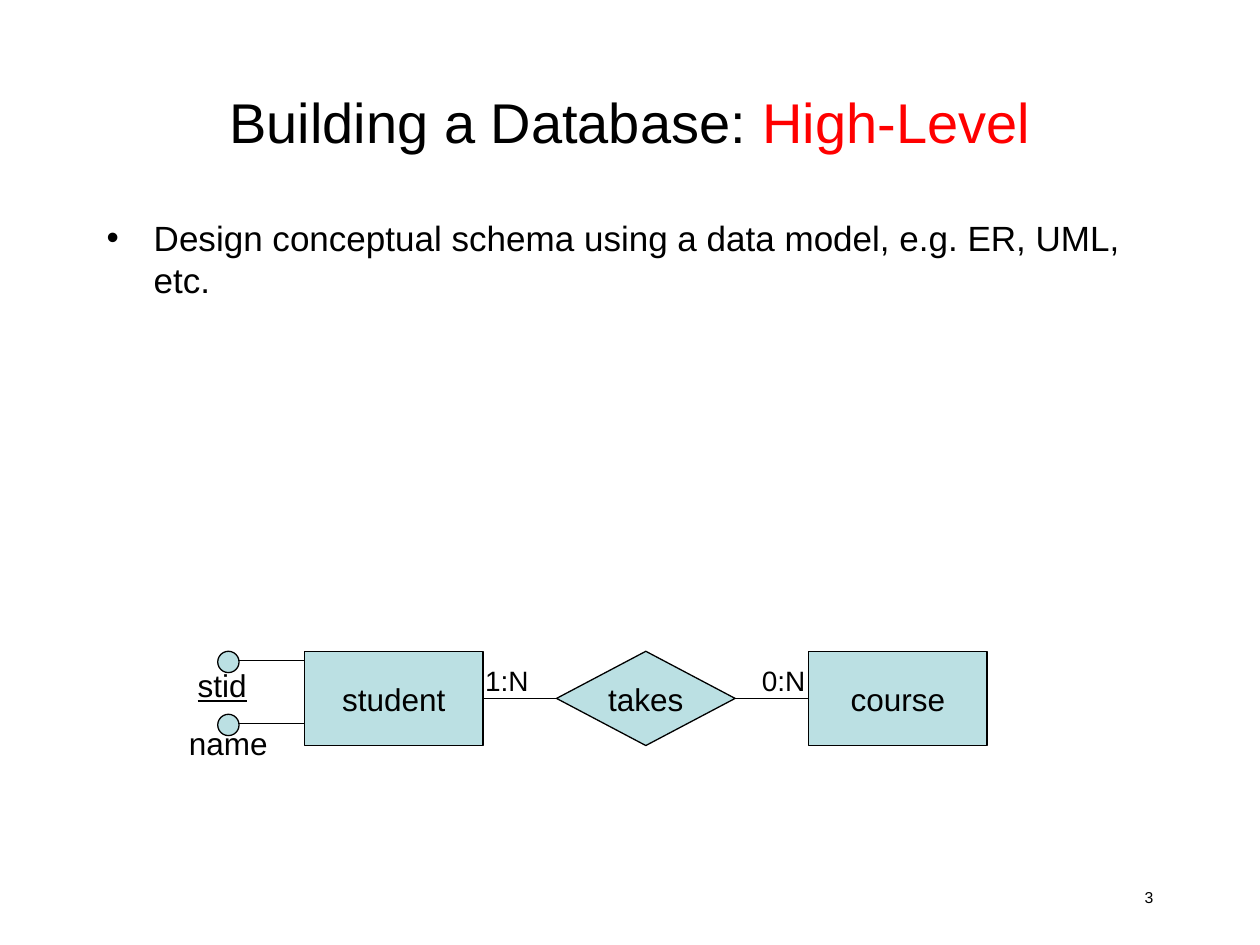
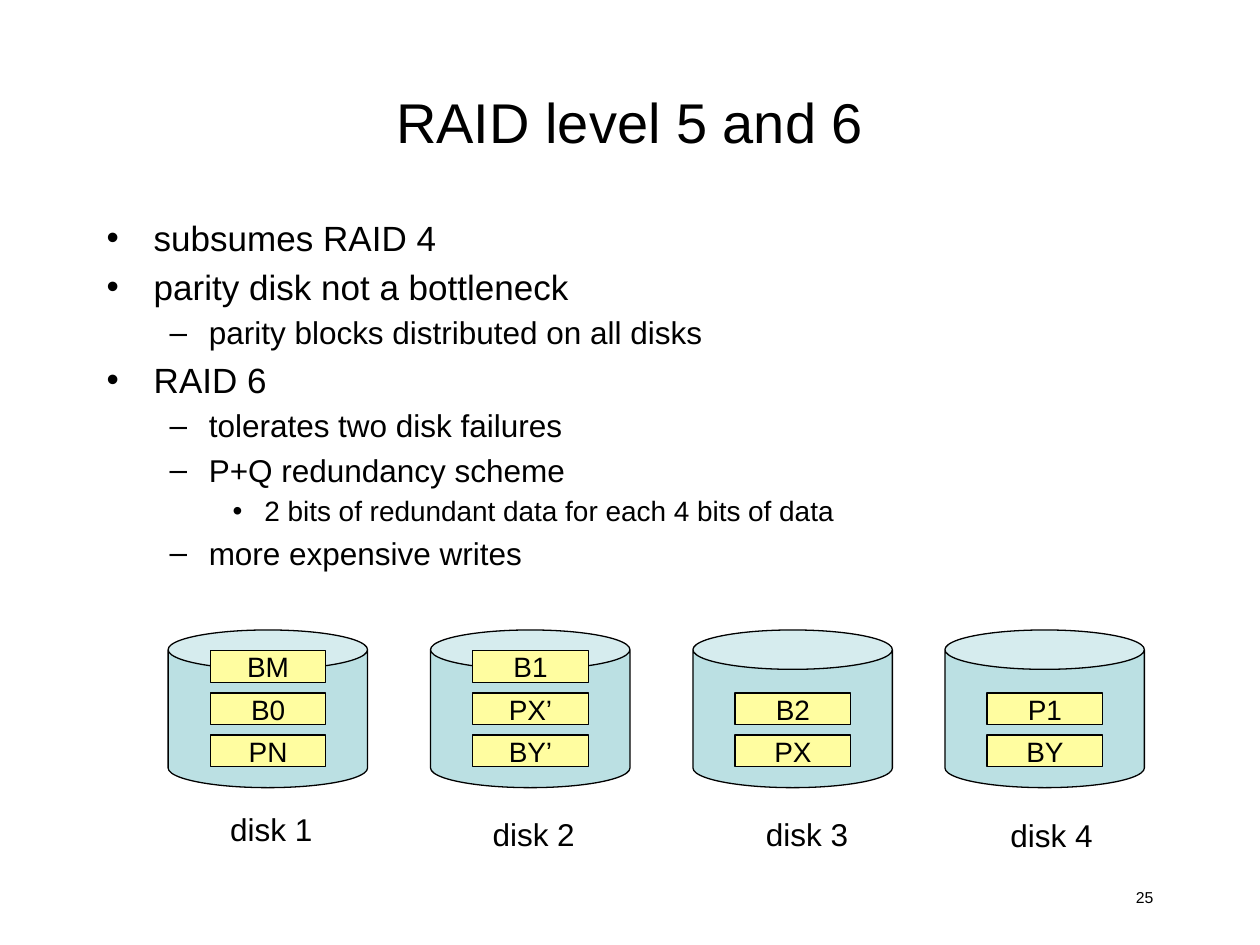
from lxml.etree import SubElement
from pptx import Presentation
from pptx.dml.color import RGBColor
from pptx.enum.shapes import MSO_CONNECTOR as Connector, MSO_SHAPE as Preset
from pptx.enum.text import MSO_ANCHOR as Anchor, PP_ALIGN as Align
from pptx.oxml.ns import qn
from pptx.util import Cm, Pt

BLACK, RED, AQUA, YELLOW = "000000", "FF0000", "BBE0E3", "FFFDA0"
FONT = "Arial"
LEVELS = [
    {"size": 20, "margin": 0.95, "hang": 0.95, "bullet": "•"},
    {"size": 18, "margin": 2.06, "hang": 0.79, "bullet": "–"},
    {"size": 16, "margin": 3.18, "hang": 0.64, "bullet": "•"},
]

SCHEMA = {
    "number": 3,
    "title": [("Building a Database: ", BLACK), ("High-Level", RED)],
    "body": [(0, "Design conceptual schema using a data model, e.g. ER, UML, etc.")],
}
RAID = {
    "number": 25,
    "title": [("RAID level 5 and 6", BLACK)],
    "body": [
        (0, "subsumes RAID 4"),
        (0, "parity disk not a bottleneck"),
        (1, "parity blocks distributed on all disks"),
        (0, "RAID 6"),
        (1, "tolerates two disk failures"),
        (1, "P+Q redundancy scheme"),
        (2, "2 bits of redundant data for each 4 bits of data"),
        (1, "more expensive writes"),
    ],
}
ENTITIES = [
    ("student", Preset.FLOWCHART_PROCESS),
    ("takes", Preset.FLOWCHART_DECISION),
    ("course", Preset.FLOWCHART_PROCESS),
]
ATTRIBUTES = [("name", 14.4, False), ("stid", 13.13, True)]
CARDINALITIES = [("1:N", 9.53), ("0:N", 15.11)]
DISKS = [
    ("disk 1", 3.39, (4.39, 16.21), ["BM", "B0", "PN"]),
    ("disk 2", 8.68, (9.68, 16.31), ["B1", "PX’", "BY’"]),
    ("disk 3", 13.97, (15.19, 16.31), [None, "B2", "PX"]),
    ("disk 4", 19.05, (20.12, 16.33), [None, "P1", "BY"]),
]


def color(value):
    return RGBColor.from_string(value)


def style(span, size, ink=BLACK):
    span.font.name = FONT
    span.font.size = Pt(size)
    span.font.color.rgb = color(ink)


def write(box, text, size, align, anchor=Anchor.TOP, wrap=False):
    frame = box.text_frame
    frame.text = text
    frame.word_wrap = wrap
    frame.vertical_anchor = anchor
    para = frame.paragraphs[0]
    para.alignment = align
    for span in para.runs:
        style(span, size)
    return para


def add_label(page, text, place, size, align=Align.LEFT, wrap=False):
    box = page.shapes.add_textbox(*map(Cm, place))
    write(box, text, size, align, wrap=wrap)


def add_figure(page, preset, place, fill):
    figure = page.shapes.add_shape(preset, *map(Cm, place))
    figure.shadow.inherit = False
    figure.fill.solid()
    figure.fill.fore_color.rgb = color(fill)
    figure.line.color.rgb = color(BLACK)
    figure.line.width = Pt(0.75)
    return figure


def add_line(page, left, right, height):
    line = page.shapes.add_connector(
        Connector.STRAIGHT, Cm(left), Cm(height), Cm(right), Cm(height))
    line.line.color.rgb = color(BLACK)
    line.line.width = Pt(0.75)
    SubElement(line._element.spPr, qn("a:effectLst"))


def set_bullet(para, level):
    para.level = level
    look = LEVELS[level]
    props = para._p.get_or_add_pPr()
    props.set("marL", str(Cm(look["margin"])))
    props.set("indent", str(-Cm(look["hang"])))
    gap = SubElement(props, qn("a:spcBef"))
    SubElement(gap, qn("a:spcPct"), val="20000")
    SubElement(props, qn("a:buFont"), typeface=FONT)
    SubElement(props, qn("a:buChar"), char=look["bullet"])


def add_page(deck, content):
    page = deck.slides.add_slide(deck.slide_layouts[6])
    add_label(page, str(content["number"]), (18.21, 17.78, 5.29, 0.85), 9,
              Align.RIGHT, True)

    title = page.shapes.add_textbox(Cm(1.9), Cm(0.85), Cm(21.6), Cm(3.17))
    para = write(title, "", 32, Align.CENTER, Anchor.MIDDLE, True)
    for text, ink in content["title"]:
        span = para.add_run()
        span.text = text
        style(span, 32, ink)

    frame = page.shapes.add_textbox(
        Cm(1.9), Cm(4.23), Cm(21.6), Cm(13.12)).text_frame
    frame.word_wrap = True
    frame.text = "\n".join(text for _, text in content["body"])
    for para, (level, _) in zip(frame.paragraphs, content["body"]):
        set_bullet(para, level)
        style(para.runs[0], LEVELS[level]["size"])
    return page


def draw_schema(page):
    left, top, width, height, pitch = 6.14, 13.13, 3.6, 1.9, 5.08
    for index, (text, preset) in enumerate(ENTITIES):
        start = left + index * pitch
        figure = add_figure(page, preset, (start, top, width, height), AQUA)
        write(figure, text, 18, Align.CENTER, Anchor.MIDDLE)
        if index:
            add_line(page, start - pitch + width, start, top + height / 2)
    for text, attribute_top, is_key in ATTRIBUTES:
        add_line(page, 4.66, left, attribute_top + 0.19)
        dot = add_figure(page, Preset.FLOWCHART_CONNECTOR,
                         (4.39, attribute_top, 0.43, 0.43), AQUA)
        para = write(dot, text, 18, Align.CENTER)
        if is_key:
            para.runs[0].font.underline = True
            frame = dot.text_frame
            frame.margin_left = frame.margin_bottom = 0
            frame.margin_top, frame.margin_right = Cm(0.23), Cm(0.25)
    for text, start in CARDINALITIES:
        add_label(page, text, (start, 13.26, 1.4, 0.94), 16)


def draw_disks(page):
    for name, left, label_place, blocks in DISKS:
        add_figure(page, Preset.CAN, (left, 12.7, 4.02, 3.18), AQUA)
        add_label(page, name, (*label_place, 2.16, 1.02), 18)
        for row, text in enumerate(blocks):
            if text:
                place = (left + 0.85, 13.12 + row * 0.85, 2.33, 0.64)
                block = add_figure(page, Preset.RECTANGLE, place, YELLOW)
                write(block, text, 16, Align.CENTER, Anchor.MIDDLE)


deck = Presentation()
deck.slide_width, deck.slide_height = Cm(25.4), Cm(19.05)
draw_schema(add_page(deck, SCHEMA))
draw_disks(add_page(deck, RAID))
deck.save("out.pptx")
